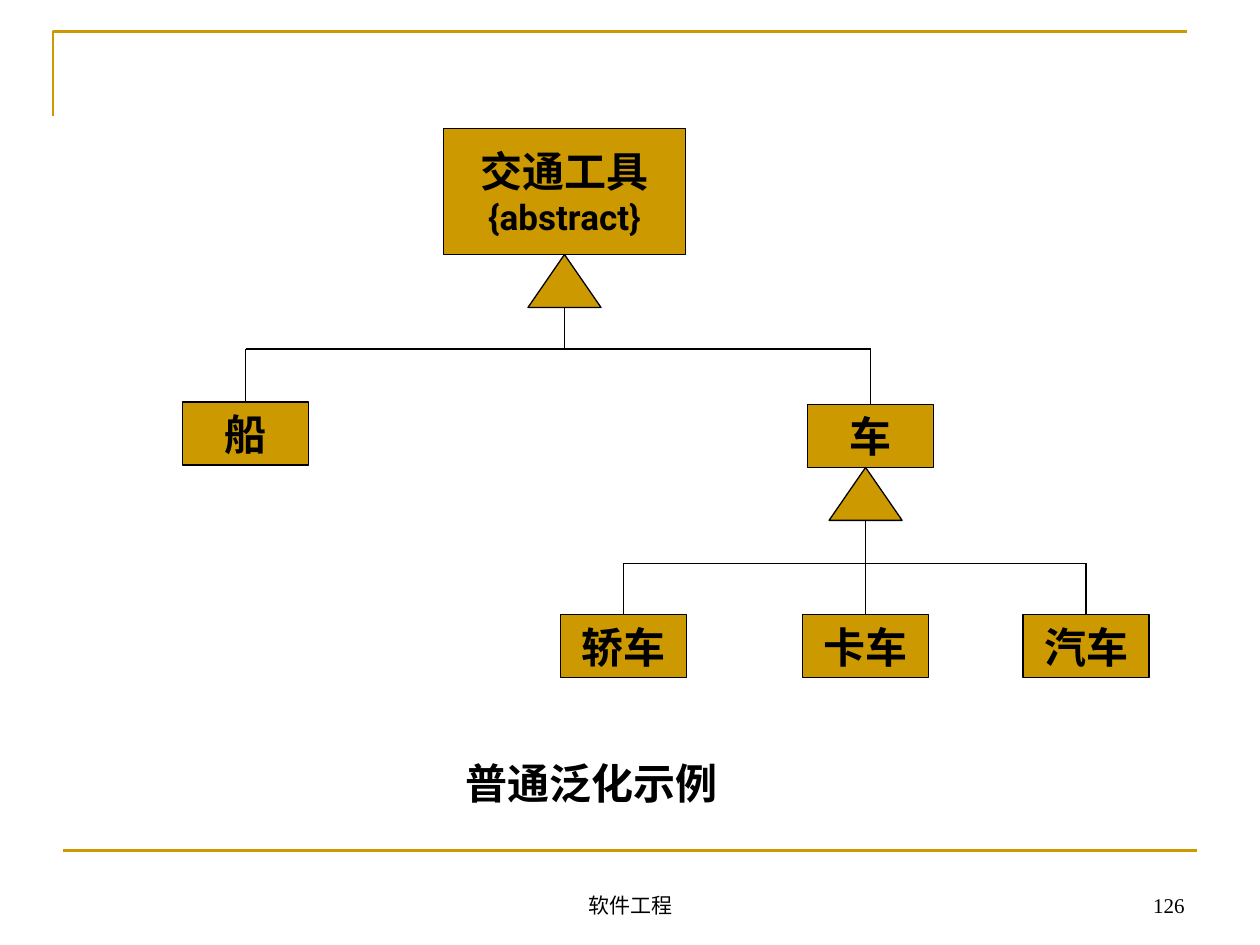
from pptx import Presentation
from pptx.dml.color import RGBColor
from pptx.enum.shapes import MSO_CONNECTOR, MSO_SHAPE
from pptx.enum.text import MSO_ANCHOR, PP_ALIGN
from pptx.oxml.ns import qn
from pptx.util import Inches, Pt
from lxml.etree import SubElement

GOLD = RGBColor(0xCC, 0x99, 0x00)
BLACK = RGBColor(0x00, 0x00, 0x00)

LABEL = {"name": "Roboto", "size": Pt(24), "bold": True}
CONSTRAINT = {**LABEL, "size": Pt(20)}
FOOTER = {"name": "Times New Roman", "size": Pt(12), "bold": False}


class DiagramSlide:
    def __init__(self, slide):
        self.shapes = slide.shapes

    def stroke(self, element, color=BLACK, width=0.75):
        element.line.color.rgb = color
        element.line.width = Pt(width)

    def fill_text(self, frame, lines, align=PP_ALIGN.CENTER, anchor=MSO_ANCHOR.MIDDLE, wrap=False):
        frame.word_wrap = wrap
        frame.vertical_anchor = anchor
        for index, (words, style) in enumerate(lines):
            paragraph = frame.add_paragraph() if index else frame.paragraphs[0]
            paragraph.alignment = align
            run = paragraph.add_run()
            run.text = words
            for attribute, value in style.items():
                setattr(run.font, attribute, value)
            run.font.color.rgb = BLACK

    def solid(self, preset, left, top, width, height):
        solid = self.shapes.add_shape(
            preset, Inches(left), Inches(top), Inches(width), Inches(height))
        solid.shadow.inherit = False
        solid.fill.solid()
        solid.fill.fore_color.rgb = GOLD
        self.stroke(solid)
        return solid

    def class_box(self, left, top, *lines, width=1, height=0.5):
        box = self.solid(MSO_SHAPE.RECTANGLE, left, top, width, height)
        self.fill_text(box.text_frame, lines)
        return box

    def line(self, x1, y1, x2, y2, **style):
        line = self.shapes.add_connector(
            MSO_CONNECTOR.STRAIGHT, Inches(x1), Inches(y1), Inches(x2), Inches(y2))
        self.stroke(line, **style)
        SubElement(line._element.spPr, qn("a:effectLst"))
        return line

    def generalization(self, apex_x, apex_y, bus_y, subclasses):
        self.solid(MSO_SHAPE.ISOSCELES_TRIANGLE, apex_x - 0.29, apex_y, 0.58, 0.42)
        self.line(apex_x, apex_y + 0.42, apex_x, bus_y)
        centers = [(box.left + box.width / 2) / Inches(1) for box in subclasses]
        self.line(centers[0], bus_y, centers[-1], bus_y)
        for center, box in zip(centers, subclasses):
            drop = self.line(center, bus_y, center, box.top / Inches(1))
            drop.end_connect(box, 0)

    def text(self, left, top, width, words, style, **layout):
        box = self.shapes.add_textbox(
            Inches(left), Inches(top), Inches(width), Inches(0.5))
        self.fill_text(box.text_frame, [(words, style)], wrap=True, **layout)

    def corner(self, left, top, right, bottom):
        builder = self.shapes.build_freeform(Inches(left), Inches(bottom))
        builder.add_line_segments(
            [(Inches(left), Inches(top)), (Inches(right), Inches(top))], close=False)
        corner = builder.convert_to_shape()
        corner.shadow.inherit = False
        corner.fill.background()
        self.stroke(corner, GOLD, 1.5)


def main():
    presentation = Presentation()
    presentation.slide_width = Inches(10)
    presentation.slide_height = Inches(7.5)
    diagram = DiagramSlide(presentation.slides.add_slide(presentation.slide_layouts[6]))

    diagram.corner(0.42, 0.25, 9.42, 0.92)
    diagram.line(0.5, 6.75, 9.5, 6.75, color=GOLD, width=1.5)

    diagram.class_box(3.52, 1.02, ("交通工具", LABEL), ("{abstract}", CONSTRAINT),
                      width=1.92, height=1)
    ship = diagram.class_box(1.45, 3.19, ("船", LABEL))
    vehicle = diagram.class_box(6.41, 3.21, ("车", LABEL))
    vehicle_kinds = [diagram.class_box(left, 4.88, (name, LABEL))
                     for left, name in ((4.45, "轿车"), (6.37, "卡车"), (8.12, "汽车"))]

    diagram.generalization(4.48, 2.02, 2.77, [ship, vehicle])
    diagram.generalization(6.87, 3.71, 4.47, vehicle_kinds)

    diagram.text(2.3, 5.96, 4.79, "普通泛化示例", LABEL, anchor=MSO_ANCHOR.TOP)
    diagram.text(3.42, 6.83, 3.17, "软件工程", FOOTER, anchor=MSO_ANCHOR.BOTTOM)
    diagram.text(7.17, 6.83, 2.33, "126", FOOTER,
                 align=PP_ALIGN.RIGHT, anchor=MSO_ANCHOR.BOTTOM)

    presentation.save("out.pptx")


if __name__ == "__main__":
    main()
